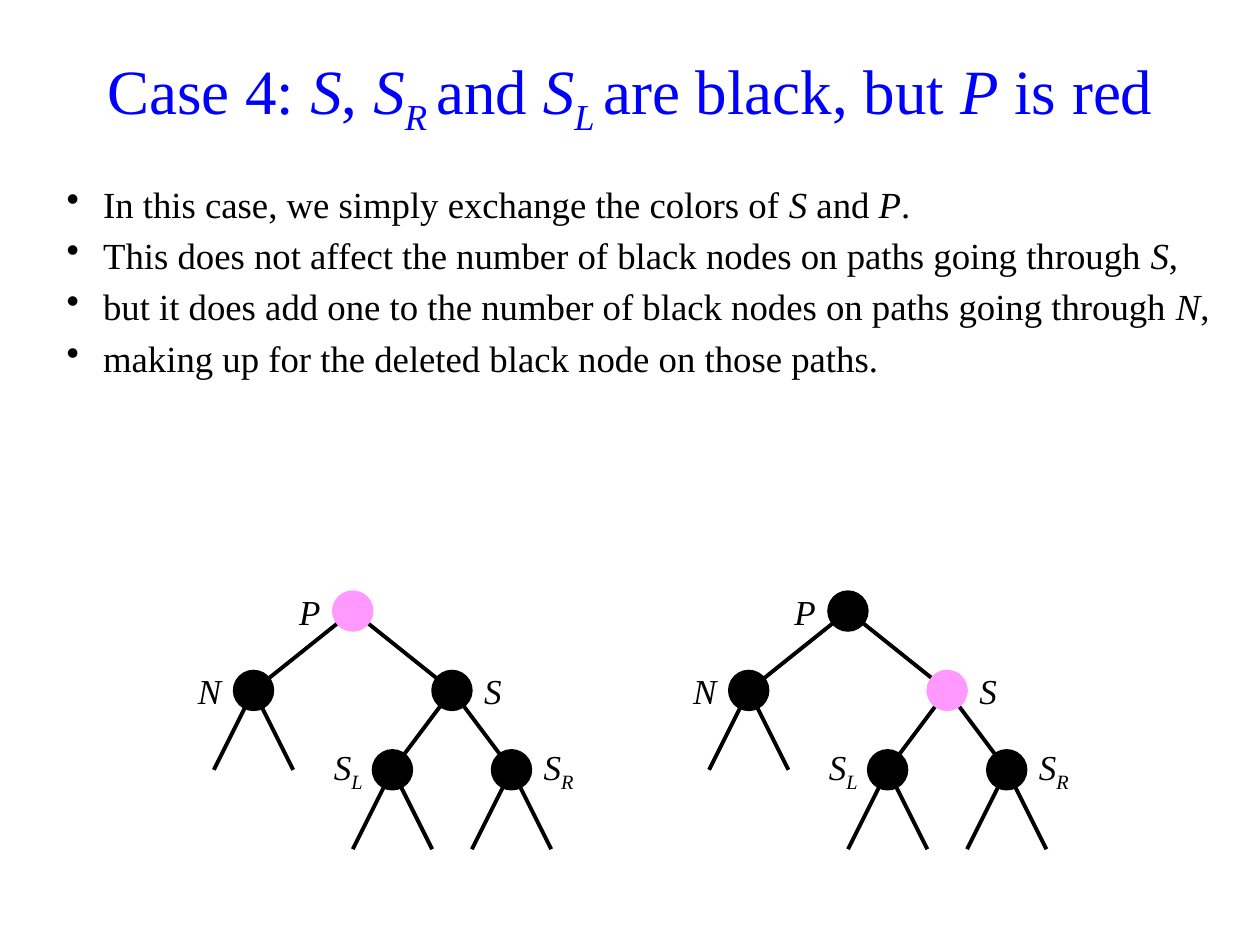
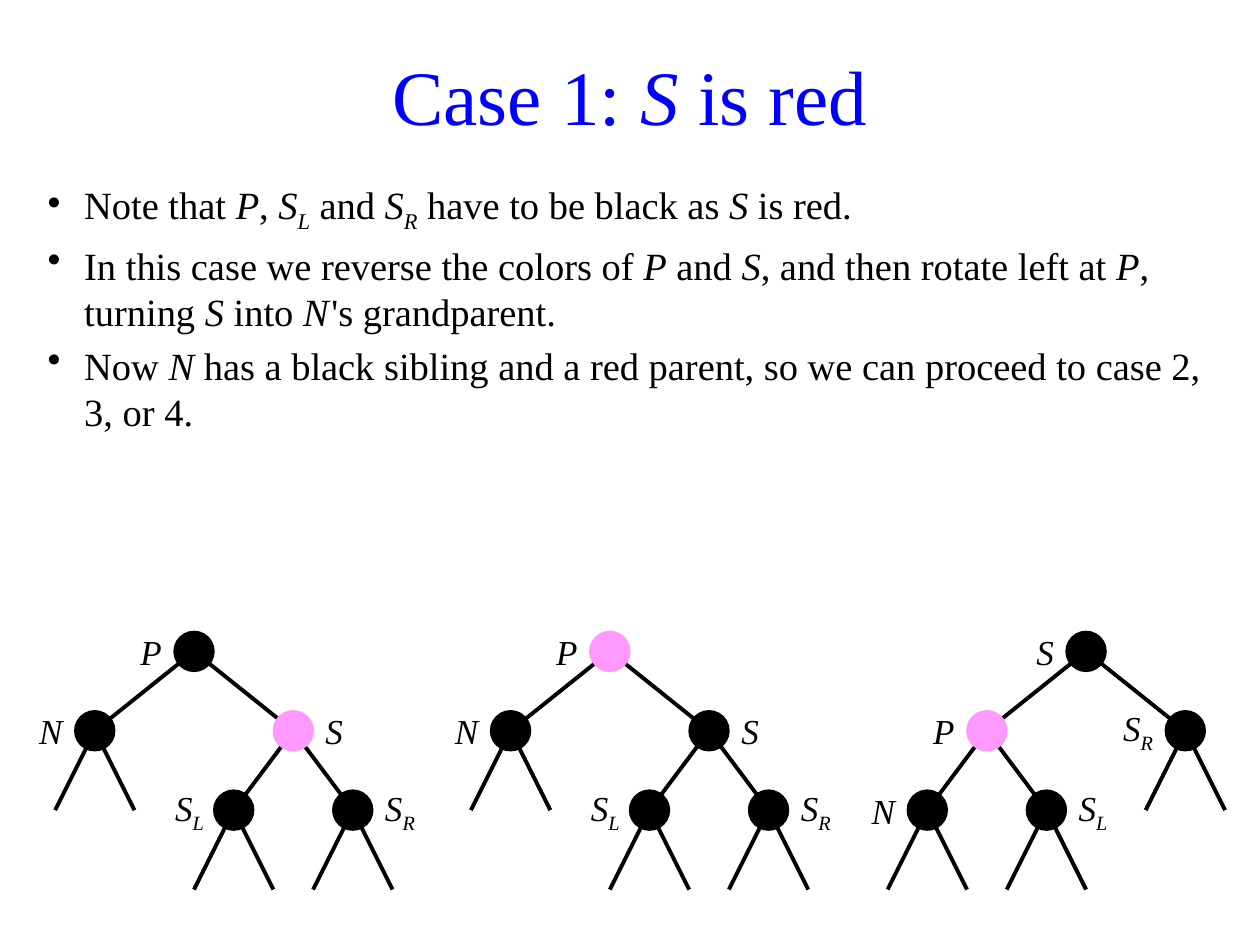
"""Builds two slides on red-black tree deletion cases, with trees laid out on a grid."""
import dataclasses

import lxml.etree
import pptx
import pptx.dml.color
import pptx.enum.shapes
import pptx.enum.text
import pptx.oxml.ns
import pptx.util

Inches = pptx.util.Inches
Pt = pptx.util.Pt
ALIGN = pptx.enum.text.PP_ALIGN
MIDDLE = pptx.enum.text.MSO_ANCHOR.MIDDLE

BLUE = pptx.dml.color.RGBColor(0x00, 0x00, 0xFF)
BLACK = pptx.dml.color.RGBColor(0x00, 0x00, 0x00)
PINK = pptx.dml.color.RGBColor(0xFF, 0x99, 0xFF)
FONT = "Times New Roman"

UNIT = 0.315
SPREADS = (2.5 * UNIT, 1.5 * UNIT, UNIT)
ROW = 2 * UNIT


@dataclasses.dataclass
class Node:
    label: str
    side: str = "left"
    red: bool = False
    children: tuple = ()


def sibling_tree(red):
    sibling = Node("S", "right", red == "S", (Node("S_L"), Node("S_R", "right")))
    return Node("P", "left", red == "P", (Node("N"), sibling))


def rotated_tree():
    parent = Node("P", "left", True, (Node("N"), Node("S_L", "right")))
    return Node("S", "left", False, (parent, Node("S_R")))


class Painter:
    def __init__(self, deck):
        self.deck = deck
        self.page = None

    def start(self, title, size):
        self.page = self.deck.slides.add_slide(self.deck.slide_layouts[5])
        box = self.page.shapes.title
        box.left, box.top = Inches(0.43), Inches(0.28)
        box.width, box.height = Inches(9.14), Inches(0.94)
        frame = box.text_frame
        frame.auto_size = pptx.enum.text.MSO_AUTO_SIZE.NONE
        frame.vertical_anchor = MIDDLE
        frame.paragraphs[0].alignment = ALIGN.CENTER
        self.add_spans(frame.paragraphs[0], title, size, BLUE)

    def add_spans(self, para, markup, size, color=BLACK):
        """Add runs: *italic* between stars, subscript after an underscore inside them."""
        for index, piece in enumerate(markup.split("*")):
            italic = index % 2 == 1
            for level, text in enumerate(piece.split("_")):
                if not text:
                    continue
                span = para.add_run()
                span.text = text
                span.font.name, span.font.size = FONT, Pt(size)
                span.font.italic = italic
                span.font.color.rgb = color
                if level:
                    span._r.get_or_add_rPr().set("baseline", "-25000")

    def text_box(self, left, top, width, height):
        box = self.page.shapes.add_textbox(Inches(left), Inches(top), Inches(width), Inches(height))
        box.text_frame.word_wrap = True
        return box.text_frame

    def bullets(self, left, width, height, size, lines):
        frame = self.text_box(left, 1.39, width, height)
        qn = pptx.oxml.ns.qn
        for index, line in enumerate(lines):
            para = frame.add_paragraph() if index else frame.paragraphs[0]
            settings = para._p.get_or_add_pPr()
            settings.set("marL", str(Inches(0.29)))
            settings.set("indent", str(-Inches(0.29)))
            before = lxml.etree.SubElement(settings, qn("a:spcBef"))
            lxml.etree.SubElement(before, qn("a:spcPct")).set("val", "20000")
            lxml.etree.SubElement(settings, qn("a:buChar")).set("char", "•")
            self.add_spans(para, line, size)
        return frame

    def edge(self, x, y, end_x, end_y):
        line = self.page.shapes.add_connector(
            pptx.enum.shapes.MSO_CONNECTOR.STRAIGHT,
            Inches(x), Inches(y), Inches(end_x), Inches(end_y))
        line.line.color.rgb = BLACK
        line.line.width = Pt(2.25)
        lxml.etree.SubElement(line._element.spPr, pptx.oxml.ns.qn("a:effectLst"))

    def dot(self, x, y, color):
        shape = self.page.shapes.add_shape(
            pptx.enum.shapes.MSO_SHAPE.OVAL,
            Inches(x - UNIT / 2), Inches(y - UNIT / 2), Inches(UNIT), Inches(UNIT))
        shape.shadow.inherit = False
        shape.fill.solid()
        shape.fill.fore_color.rgb = color
        shape.line.color.rgb = color
        shape.line.width = Pt(1)

    def label(self, x, y, node):
        width = 1.5 * UNIT
        on_left = node.side == "left"
        left = x - UNIT / 2 - width if on_left else x + UNIT / 2
        frame = self.text_box(left, y - UNIT, width, ROW)
        frame.vertical_anchor = MIDDLE
        if node.label == "S_L":
            frame.margin_right = Inches(0.08)
        para = frame.paragraphs[0]
        para.alignment = ALIGN.RIGHT if on_left else ALIGN.LEFT
        self.add_spans(para, f"*{node.label}*", 20)

    def tree(self, node, x, y, depth=0):
        spread = SPREADS[depth] if node.children else UNIT
        for end_x in (x - spread, x + spread):
            self.edge(x, y, end_x, y + ROW)
        for child, child_x in zip(node.children, (x - spread, x + spread)):
            self.tree(child, child_x, y + ROW, depth + 1)
        self.dot(x, y, PINK if node.red else BLACK)
        self.label(x, y, node)


deck = pptx.Presentation()
deck.slide_width, deck.slide_height = Inches(10), Inches(7.5)
painter = Painter(deck)

painter.start("Case 4: *S*, *S_R *and *S_L *are black, but *P* is red", 36)
painter.bullets(0.43, 9.29, 1.73, 21, (
    "In this case, we simply exchange the colors of *S* and *P*.",
    "This does not affect the number of black nodes on paths going through *S*,",
    "but it does add one to the number of black nodes on paths going through *N*,",
    "making up for the deleted black node on those paths.",
))
for root_x, red in ((2.8, "P"), (6.73, "S")):
    painter.tree(sibling_tree(red), root_x, 4.85)

painter.start("Case 1: *S* is red", 44)
body = painter.bullets(0.28, 9.45, 2.05, 22, (
    "Note that *P*, *S_L* and *S_R* have to be black as *S* is red.",
    "In this case we reverse the colors of *P* and *S*, and then rotate left at *P*, "
    "turning *S* into *N*'s grandparent.",
    "Now *N* has a black sibling and a red parent, so we can proceed to case 2, 3, or 4.",
))
body.paragraphs[1].runs[-2]._r.get_or_add_rPr().set("spc", "150")
for root_x, tree in ((1.54, sibling_tree("S")), (4.84, sibling_tree("P")), (8.62, rotated_tree())):
    painter.tree(tree, root_x, 5.17)

deck.save("out.pptx")
